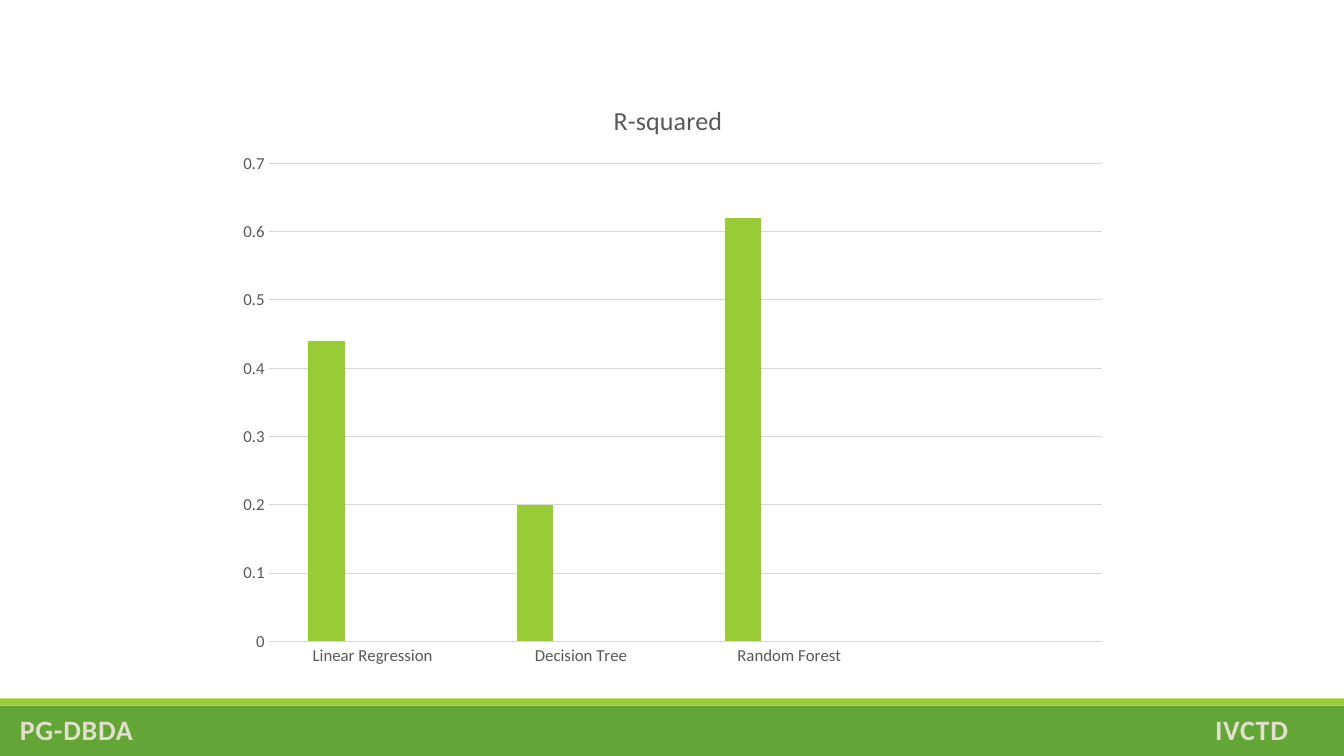
"""Build a slide with a column chart of R-squared by model and a footer band."""
import pptx
import pptx.chart.data
import pptx.dml.color
import pptx.enum.chart
import pptx.enum.shapes
import pptx.enum.text
import pptx.oxml
import pptx.oxml.ns
import pptx.util
from pptx.util import Cm, Pt

WIDE, HIGH = 33.87, 19.05
FONT = "Calibri"
HUES = {
    "band": "63A537", "strip": "99CB38", "third": "37A76F",
    "foot": "E2DFCC", "text": "595959", "grid": "D9D9D9",
}
TITLE = "R-squared"
MODELS = ["Linear Regression", "Decision Tree", "Random Forest", ""]
SERIES = [
    ("Series 1", [0.44, 0.2, 0.62, None], "strip"),
    ("Series 2", [None] * 4, "band"),
    ("Series 3", [None] * 4, "third"),
]
BANDS = [(17.78, 1.27, "band"), (17.6, 0.18, "strip")]
ALIGN = pptx.enum.text.PP_ALIGN
FOOTS = [("PG-DBDA", 0.5, ALIGN.LEFT), ("IVCTD", 24.46, ALIGN.RIGHT)]
FOOT_TOP, FOOT_WIDE, FOOT_HIGH = 17.83, 8, 1.12
CHART = (5.64, 2.01, 22.58, 15.06)
PLOT = {"x": 0.05, "y": 0.14, "w": 0.93, "h": 0.8}
HEAD = {"x": 0.43, "y": 0.03}


def hue(name):
    return pptx.dml.color.RGBColor.from_string(HUES[name])


def style(font, size, name, bold=False):
    font.name, font.size, font.bold = FONT, Pt(size), bold
    font.color.rgb = hue(name)


def add_band(slide, top, tall, name):
    band = slide.shapes.add_shape(
        pptx.enum.shapes.MSO_SHAPE.RECTANGLE, 0, Cm(top), Cm(WIDE), Cm(tall))
    band.shadow.inherit = False
    band.fill.solid()
    band.fill.fore_color.rgb = hue(name)
    band.line.fill.background()


def add_foot(slide, text, left, align):
    frame = slide.shapes.add_textbox(
        Cm(left), Cm(FOOT_TOP), Cm(FOOT_WIDE), Cm(FOOT_HIGH)).text_frame
    frame.word_wrap = True
    frame.margin_left = frame.margin_right = 0
    frame.vertical_anchor = pptx.enum.text.MSO_ANCHOR.MIDDLE
    para = frame.paragraphs[0]
    para.alignment = align
    run = para.add_run()
    run.text = text
    style(run.font, 20, "foot", True)
    run.font._element.set("spc", "50")


def place(part, index, spots):
    for old in part.findall(pptx.oxml.ns.qn("c:layout")):
        part.remove(old)
    inner = '<c:layoutTarget val="inner"/>' if "w" in spots else ""
    modes = "".join(f'<c:{key}Mode val="edge"/>' for key in "xy")
    sizes = "".join(f'<c:{key} val="{val}"/>' for key, val in spots.items())
    part.insert(index, pptx.oxml.parse_xml(
        f'<c:layout {pptx.oxml.ns.nsdecls("c")}><c:manualLayout>'
        f'{inner}{modes}{sizes}</c:manualLayout></c:layout>'))


def draw_line(line):
    line.color.rgb = hue("grid")
    line.width = Pt(0.75)


def add_graph(slide):
    data = pptx.chart.data.CategoryChartData()
    data.categories = MODELS
    for name, vals, _ in SERIES:
        data.add_series(name, vals)
    kind = pptx.enum.chart.XL_CHART_TYPE.COLUMN_CLUSTERED
    chart = slide.shapes.add_chart(kind, *map(Cm, CHART), data).chart
    style(chart.font, 12, "text")
    chart.has_legend = False
    chart.has_title = True
    run = chart.chart_title.text_frame.paragraphs[0].add_run()
    run.text = TITLE
    style(run.font, 18.6, "text")
    place(chart.chart_title._element, 1, HEAD)

    plot = chart.plots[0]
    plot.gap_width, plot.overlap = 219, -27
    plot.vary_by_categories = False
    for series, (_, _, name) in zip(plot.series, SERIES):
        series.format.fill.solid()
        series.format.fill.fore_color.rgb = hue(name)
    place(plot._element.getparent(), 0, PLOT)

    for axis in (chart.category_axis, chart.value_axis):
        axis.major_tick_mark = pptx.enum.chart.XL_TICK_MARK.NONE
        axis.minor_tick_mark = pptx.enum.chart.XL_TICK_MARK.NONE
        style(axis.tick_labels.font, 12, "text")
    draw_line(chart.category_axis.format.line)
    scale = chart.value_axis
    scale.minimum_scale, scale.maximum_scale, scale.major_unit = 0, 0.7, 0.1
    scale.format.line.fill.background()
    scale.has_major_gridlines = True
    draw_line(scale.major_gridlines.format.line)


def main():
    deck = pptx.Presentation()
    deck.slide_width, deck.slide_height = Cm(WIDE), Cm(HIGH)
    slide = deck.slides.add_slide(deck.slide_layouts[6])
    for band in BANDS:
        add_band(slide, *band)
    for foot in FOOTS:
        add_foot(slide, *foot)
    add_graph(slide)
    deck.save("out.pptx")


if __name__ == "__main__":
    main()
